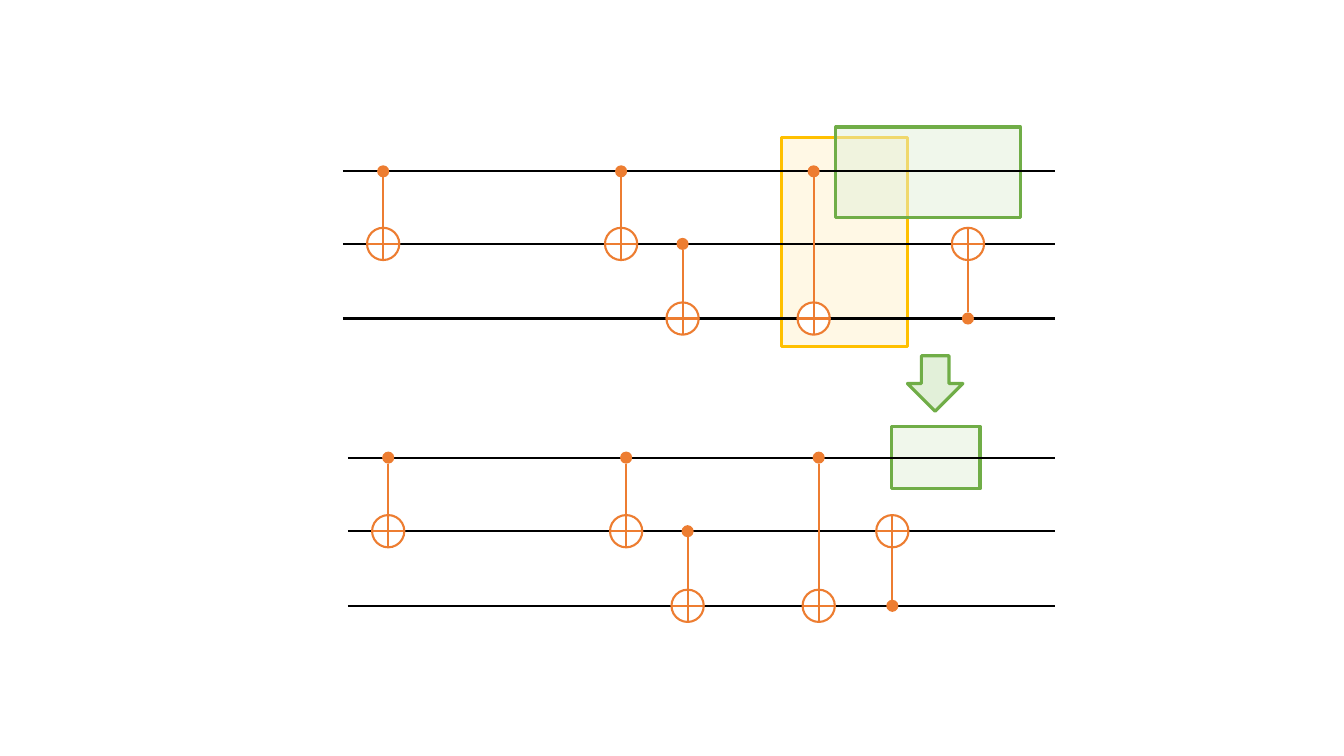
from lxml.etree import SubElement
from pptx import Presentation
from pptx.dml.color import RGBColor
from pptx.enum.shapes import MSO_CONNECTOR, MSO_SHAPE
from pptx.oxml.ns import qn
from pptx.util import Emu, Pt

EMU_PER_PX = 9144
DOT_SIZE = 12
TARGET_SIZE = 32
WIRE_END = 1046

BLACK = RGBColor(0x00, 0x00, 0x00)
WHITE = RGBColor(0xFF, 0xFF, 0xFF)
ORANGE = RGBColor(0xED, 0x7D, 0x31)
GREEN = RGBColor(0x70, 0xAD, 0x47)
PALE_GREEN = RGBColor(0xE2, 0xF0, 0xD9)
GOLD = RGBColor(0xFF, 0xC0, 0x00)
PALE_GOLD = RGBColor(0xFF, 0xF2, 0xCC)

SHARED_GATES = [(40, 0, 1), (276, 0, 1), (337, 1, 2), (467, 0, 2)]
CIRCUITS = [
    {
        "start": 340,
        "wires": [170, 242, 316],
        "gates": SHARED_GATES + [(620, 2, 1)],
        "highlights": [
            ((775, 136, 125, 208), PALE_GOLD, GOLD),
            ((829, 126, 183, 90), PALE_GREEN, GREEN),
        ],
    },
    {
        "start": 345,
        "wires": [454, 527, 601],
        "gates": SHARED_GATES + [(540, 2, 1)],
        "highlights": [((884, 423, 88, 62), PALE_GREEN, GREEN)],
    },
]


def px(length):
    return Emu(length * EMU_PER_PX)


def set_attributes(target, values):
    for name, value in values.items():
        setattr(target, name, value)


def add_filled_shape(slide, kind, box, fill, outline=None, width=1.5):
    shape = slide.shapes.add_shape(kind, *map(px, box))
    shape.shadow.inherit = False
    shape.fill.solid()
    shape.fill.fore_color.rgb = fill
    if outline is None:
        shape.line.fill.background()
    else:
        shape.line.color.rgb = outline
        shape.line.width = Pt(width)
    return shape


def add_line(slide, start, end, color):
    line = slide.shapes.add_connector(MSO_CONNECTOR.STRAIGHT, *map(px, start + end))
    set_attributes(line.line, {"width": Pt(1.5)})
    line.line.color.rgb = color
    SubElement(line.element.spPr, qn("a:effectLst"))


def add_highlight(slide, box, fill, outline):
    shape = add_filled_shape(slide, MSO_SHAPE.RECTANGLE, box, fill, outline, 2.25)
    color = shape.element.spPr.find(qn("a:solidFill")).find(qn("a:srgbClr"))
    SubElement(color, qn("a:alpha"), val="50000")


def centred_box(x, y, size):
    return x - size // 2, y - size // 2, size, size


def add_controlled_not(slide, x, control, target):
    direction = 1 if target > control else -1
    target_box = centred_box(x, target, TARGET_SIZE)
    add_filled_shape(slide, MSO_SHAPE.FLOWCHART_OR, target_box, WHITE, ORANGE)
    dot_box = centred_box(x, control, DOT_SIZE)
    add_filled_shape(slide, MSO_SHAPE.FLOWCHART_CONNECTOR, dot_box, ORANGE)
    stem_start = (x, control + direction * DOT_SIZE // 2)
    stem_end = (x, target - direction * TARGET_SIZE // 2)
    add_line(slide, stem_start, stem_end, ORANGE)


def add_circuit(slide, start, wires, gates, highlights):
    for box, fill, outline in highlights:
        add_highlight(slide, box, fill, outline)
    for y in wires:
        add_line(slide, (start, y), (WIRE_END, y), BLACK)
    for offset, control, target in gates:
        add_controlled_not(slide, start + offset, wires[control], wires[target])


def add_step_arrow(slide):
    box = (900, 353, 55, 55)
    arrow = add_filled_shape(slide, MSO_SHAPE.RIGHT_ARROW, box, PALE_GREEN, GREEN, 2.25)
    set_attributes(arrow, {"rotation": 90})


def main():
    presentation = Presentation()
    set_attributes(presentation, {"slide_width": px(1333), "slide_height": px(750)})
    slide = presentation.slides.add_slide(presentation.slide_layouts[6])
    for circuit in CIRCUITS:
        add_circuit(slide, **circuit)
    add_step_arrow(slide)
    presentation.save("out.pptx")


if __name__ == "__main__":
    main()
